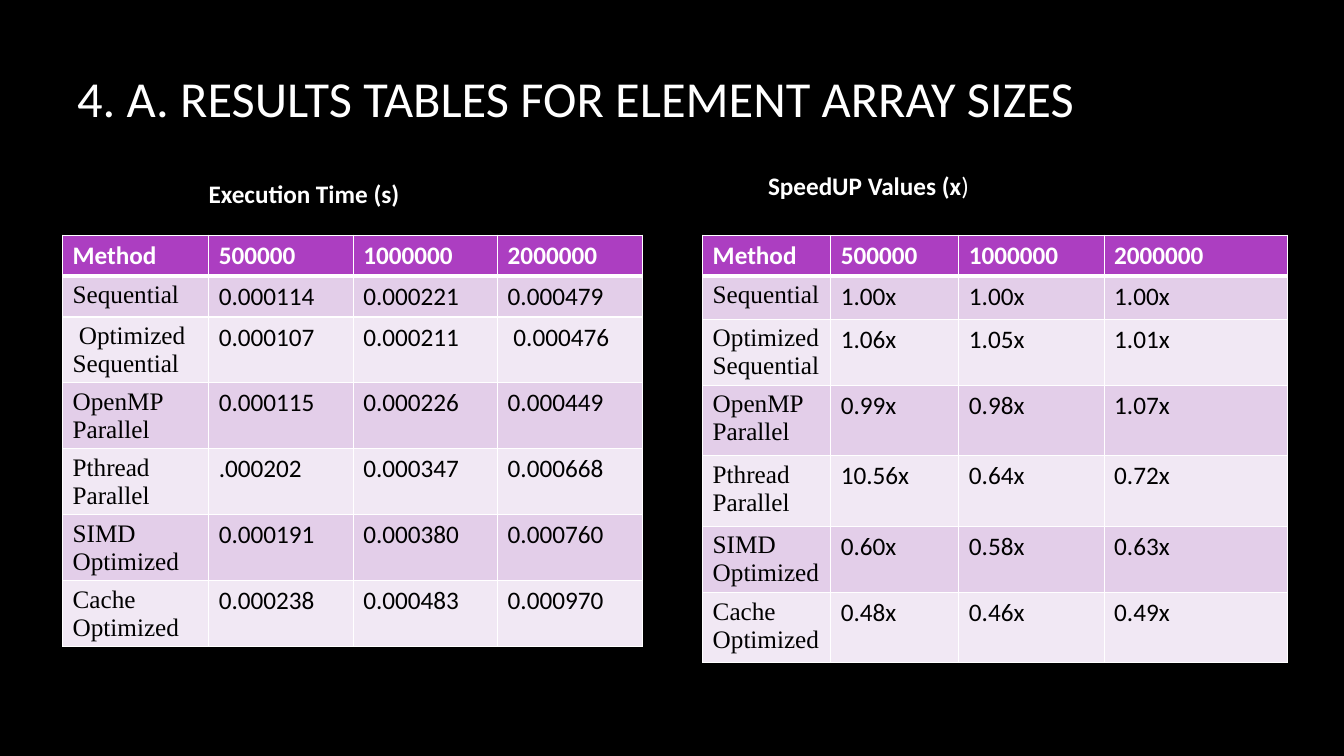
from dataclasses import dataclass

from lxml.etree import SubElement
from pptx import Presentation
from pptx.dml.color import RGBColor as Rgb
from pptx.enum.text import MSO_ANCHOR as Anchor
from pptx.oxml.ns import qn
from pptx.slide import Slide
from pptx.table import _Cell as Cell
from pptx.text.text import _Paragraph as Para
from pptx.util import Emu, Inches, Pt

COLORS = {
    "page": "000000",
    "light": "FFFFFF",
    "dark": "000000",
    "header": "AC3EC1",
    "odd": "E3CEE9",
    "even": "F1E8F4",
}
SANS, SERIF = "Calibri", "Times New Roman"
WIDTH, HEIGHT = Inches(13.33), Inches(7.5)
GRID_COLUMNS, GRID_ROWS = 160, 90


@dataclass(frozen=True)
class Span:
    text: str
    size: int = 18
    bold: bool = False
    color: str = "light"
    font: str = SANS


@dataclass(frozen=True)
class Label:
    left: float
    top: float
    width: float
    height: float
    spans: tuple[Span, ...]
    anchor: Anchor = Anchor.TOP


@dataclass(frozen=True)
class ResultTable:
    left: float
    columns: tuple[float, ...]
    rows: tuple[float, ...]
    records: tuple[tuple[str, ...], ...]
    top: float = 28


LABELS = (
    Label(8, 7.2, 139.8, 8.9,
          (Span("4. A. RESULTS TABLES FOR ELEMENT ARRAY SIZES", 36),), Anchor.MIDDLE),
    Label(23.65, 20.65, 52.7, 4.8, (Span("Execution Time (s)", bold=True),)),
    Label(90.25, 19.7, 44.65, 4.8, (Span("SpeedUP Values (x", bold=True), Span(")"))),
)

HEADINGS = ("Method", "500000", "1000000", "2000000")

TABLES = (
    ResultTable(7.45, (17.4,) + (17.2,) * 3, (4.8,) * 2 + (7.8,) * 5, (
        HEADINGS,
        ("Sequential", "0.000114", "0.000221", "0.000479"),
        (" Optimized Sequential", "0.000107", "0.000211", " 0.000476"),
        ("OpenMP Parallel", "0.000115", "0.000226", "0.000449"),
        ("Pthread Parallel", ".000202", "0.000347", "0.000668"),
        ("SIMD Optimized", "0.000191", "0.000380", "0.000760"),
        ("Cache Optimized", "0.000238", "0.000483", "0.000970"),
    )),
    ResultTable(83.65, (15.25, 15.25, 17.3, 21.85), (4.8, 5.15, 7.8, 8.4, 8.4, 7.9, 8.3), (
        HEADINGS,
        ("Sequential", "1.00x", "1.00x", "1.00x"),
        ("Optimized Sequential", "1.06x", "1.05x", "1.01x"),
        ("OpenMP Parallel", "0.99x", "0.98x", "1.07x"),
        ("Pthread Parallel", "10.56x", "0.64x", "0.72x"),
        ("SIMD Optimized", "0.60x", "0.58x", "0.63x"),
        ("Cache Optimized", "0.48x", "0.46x", "0.49x"),
    )),
)


def across(columns: float) -> Emu:
    return Emu(round(WIDTH * columns / GRID_COLUMNS))


def down(rows: float) -> Emu:
    return Emu(round(HEIGHT * rows / GRID_ROWS))


def color(name: str) -> Rgb:
    return Rgb.from_string(COLORS[name])


def add_span(para: Para, span: Span) -> None:
    run = para.add_run()
    run.text = span.text
    run.font.size = Pt(span.size)
    run.font.bold = span.bold
    run.font.name = span.font
    run.font.color.rgb = color(span.color)


def add_label(page: Slide, label: Label) -> None:
    box = page.shapes.add_textbox(across(label.left), down(label.top),
                                  across(label.width), down(label.height))
    frame = box.text_frame
    frame.word_wrap = True
    frame.vertical_anchor = label.anchor
    for span in label.spans:
        add_span(frame.paragraphs[0], span)


def add_borders(cell: Cell, top: int, bottom: int) -> None:
    properties = cell._tc.get_or_add_tcPr()
    for side, points in (("L", 1), ("R", 1), ("T", top), ("B", bottom)):
        line = SubElement(properties, qn(f"a:ln{side}"), w=str(Pt(points)))
        fill = SubElement(line, qn("a:solidFill"))
        SubElement(fill, qn("a:srgbClr"), val=COLORS["light"])


def fill_cell(cell: Cell, text: str, row: int, column: int) -> None:
    is_header = row == 0
    add_borders(cell, top=3 if row == 1 else 1, bottom=3 if is_header else 1)
    cell.fill.solid()
    cell.fill.fore_color.rgb = color("header" if is_header else "odd" if row % 2 else "even")
    add_span(cell.text_frame.paragraphs[0], Span(
        text,
        bold=is_header,
        color="light" if is_header else "dark",
        font=SERIF if column == 0 and not is_header else SANS,
    ))


def add_results(page: Slide, results: ResultTable) -> None:
    table = page.shapes.add_table(
        len(results.rows), len(results.columns), across(results.left), down(results.top),
        across(sum(results.columns)), down(sum(results.rows))).table
    table.horz_banding = False
    for column, width in zip(table.columns, results.columns):
        column.width = across(width)
    for row, height in zip(table.rows, results.rows):
        row.height = down(height)
    for row, record in enumerate(results.records):
        for column, text in enumerate(record):
            fill_cell(table.cell(row, column), text, row, column)


def main() -> None:
    deck = Presentation()
    deck.slide_width, deck.slide_height = WIDTH, HEIGHT
    page = deck.slides.add_slide(deck.slide_layouts[6])
    page.background.fill.solid()
    page.background.fill.fore_color.rgb = color("page")
    for results in TABLES:
        add_results(page, results)
    for label in LABELS:
        add_label(page, label)
    deck.save("out.pptx")


if __name__ == "__main__":
    main()
